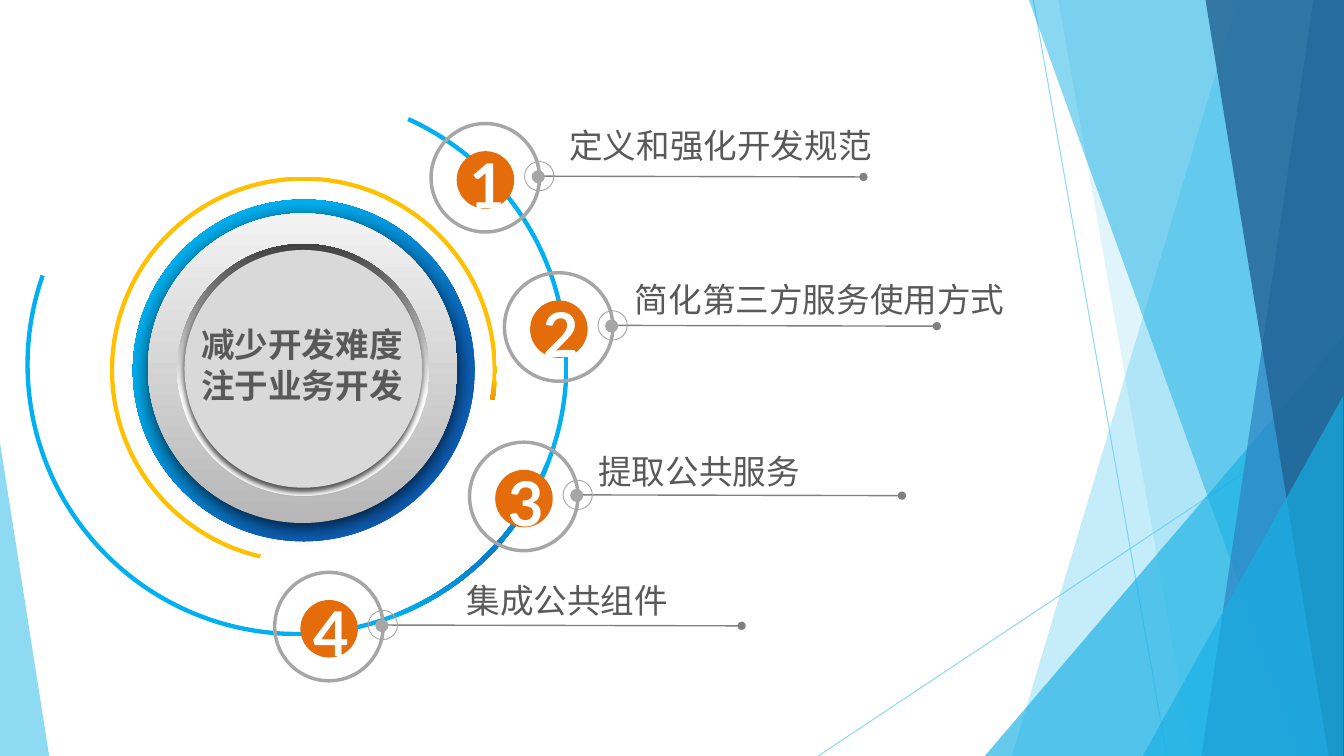
from lxml import etree
from pptx import Presentation
from pptx.dml.color import RGBColor
from pptx.enum.shapes import MSO_CONNECTOR, MSO_SHAPE
from pptx.enum.text import MSO_AUTO_SIZE, PP_ALIGN
from pptx.oxml import parse_xml
from pptx.oxml.ns import nsdecls, qn
from pptx.util import Cm, Pt

STRAIGHT = MSO_CONNECTOR.STRAIGHT
OVAL, DONUT, ARC = MSO_SHAPE.OVAL, MSO_SHAPE.DONUT, MSO_SHAPE.BLOCK_ARC
TRIANGLE = MSO_SHAPE.ISOSCELES_TRIANGLE
FIT_SHAPE = MSO_AUTO_SIZE.SHAPE_TO_FIT_TEXT
CENTER, JUSTIFY = PP_ALIGN.CENTER, PP_ALIGN.JUSTIFY
WIDTH, HEIGHT = 33.87, 19.05

COLORS = {
    "sky": "5FCBEF", "cyan": "17B0E4", "blue": "2E83C3", "navy": "226292",
    "face": "D9D9D9", "ring": "A6A6A6", "rule": "808080",
    "orange": "E46C0A", "text": "595959", "white": "FFFFFF",
}
BLUES = [(0, "0E58B2"), (30, "0C62B9"), (73, "00B0F0")]
AMBERS = [(66, "BF4501"), (96, "FFC000")]
SILVERS = [(0, "B7B7B7"), (100, "F2F2F2")]
STEELS = [(39, "FFFFFF"), (100, "404040")]
CORNER = ('<a:path path="rect"><a:fillToRect l="100000" t="100000"/></a:path>')

TITLE = {"size": Pt(24), "name": "Arial Narrow", "bold": True}
NUMBER = {"size": Pt(44), "name": "Lato", "bold": True}
LABEL = {"size": Pt(24), "name": "Arial"}


def linear(angle):
    return f'<a:lin ang="{angle * 60000}" scaled="0"/>'


class Board:
    def __init__(self, page):
        self.page = page
        self.shapes = page.shapes

    def set_alpha(self, element, alpha):
        if alpha < 100:
            color = next(element.iter(qn("a:srgbClr")))
            etree.SubElement(color, qn("a:alpha"), val=str(alpha * 1000))

    def paint(self, shape, color, alpha=100):
        shape.shadow.inherit = False
        shape.line.fill.background()
        shape.fill.solid()
        shape.fill.fore_color.rgb = RGBColor.from_string(COLORS[color])
        self.set_alpha(shape._element.spPr.find(qn("a:solidFill")), alpha)

    def shape(self, kind, left, top, width, height, color="face", alpha=100,
              adjust=(), turn=0):
        shape = self.shapes.add_shape(kind, Cm(left), Cm(top), Cm(width), Cm(height))
        for index, value in enumerate(adjust):
            shape.adjustments[index] = value
        shape.rotation = turn
        self.paint(shape, color, alpha)
        return shape

    def facet(self, top_left, bottom_left, color, alpha):
        outline = self.shapes.build_freeform(Cm(top_left), 0, scale=1.0)
        corners = [(WIDTH, 0), (WIDTH, HEIGHT), (bottom_left, HEIGHT)]
        outline.add_line_segments([(Cm(x), Cm(y)) for x, y in corners], close=True)
        self.paint(outline.convert_to_shape(), color, alpha)

    def gradient(self, shape, stops, direction):
        marks = "".join(f'<a:gs pos="{place * 1000}"><a:srgbClr val="{color}"/></a:gs>'
                        for place, color in stops)
        properties = shape._element.spPr
        properties.replace(properties.find(qn("a:solidFill")), parse_xml(
            f'<a:gradFill {nsdecls("a")} rotWithShape="1">'
            f'<a:gsLst>{marks}</a:gsLst>{direction}</a:gradFill>'))

    def cast_shadow(self, shape, alpha, blur, distance):
        shape._element.spPr.find(qn("a:effectLst")).append(parse_xml(
            f'<a:outerShdw {nsdecls("a")} blurRad="{Pt(blur)}" dist="{Pt(distance)}" '
            f'dir="5400000" algn="t" rotWithShape="0"><a:srgbClr val="000000">'
            f'<a:alpha val="{alpha * 1000}"/></a:srgbClr></a:outerShdw>'))

    def line(self, start, end, color, width, alpha=100, dot=False):
        line = self.shapes.add_connector(STRAIGHT, *map(Cm, start + end))
        line.line.color.rgb = RGBColor.from_string(COLORS[color])
        line.line.width = Pt(width)
        properties = line._element.spPr
        outline = properties.find(qn("a:ln"))
        self.set_alpha(outline, alpha)
        if dot:
            etree.SubElement(outline, qn("a:tailEnd"), type="oval")
        etree.SubElement(properties, qn("a:effectLst"))

    def text(self, words, left, top, width, height, style, color="text",
             align=JUSTIFY, spacing=None):
        box = self.shapes.add_textbox(Cm(left), Cm(top), Cm(width), Cm(height))
        frame = box.text_frame
        frame.word_wrap = True
        frame.auto_size = FIT_SHAPE
        para = frame.paragraphs[0]
        para.alignment = align
        para.line_spacing = spacing
        span = para.add_run()
        span.text = words
        for key, value in style.items():
            setattr(span.font, key, value)
        span.font.color.rgb = RGBColor.from_string(COLORS[color])

    def badge(self, number, left, top, reach):
        start = (left + 2.84, top + 1.37)
        self.line(start, (start[0] + reach, start[1] + 0.02), "rule", 1, dot=True)
        for kind, right, down, size, color in [
            (DONUT, 0, 0, 2.82, "ring"), (DONUT, 2.39, 0.99, 0.76, "ring"),
            (OVAL, 2.58, 1.22, 0.33, "ring"), (OVAL, 0.69, 0.74, 1.45, "orange"),
        ]:
            self.shape(kind, left + right, top + down, size, size, color,
                       adjust=(0.031,) if kind == DONUT else ())
        self.text(str(number), left + 0.76, top - 0.06, 1.91, 2.54, NUMBER,
                  "white", spacing=1.3)


def draw_backdrop(board):
    board.line((26.04, 0), (29.41, HEIGHT), "sky", 0.75, 70)
    board.line((WIDTH, 10.24), (20.62, HEIGHT), "sky", 0.75, 70)
    board.facet(31.19, 25.5, "sky", 36)
    board.facet(26.67, 30.05, "sky", 20)
    board.shape(TRIANGLE, 24.82, 8.46, 9.04, 10.59, "cyan", 66, (1,))
    board.facet(25.93, 32.79, "cyan", 50)
    board.facet(33.1, 30.28, "blue", 70)
    board.facet(30.38, 33.48, "navy", 80)
    board.shape(TRIANGLE, 28.8, 9.98, 5.05, 9.07, "cyan", 66, (1,))
    board.shape(TRIANGLE, 0, 11.15, 1.24, 7.9, "sky", 70, (0,))


def draw_dial(board):
    for left, top, size, turn, adjust, stops in [
        (0.64, 2.34, 13.69, 199.5, (56.92, 215.88, 0.008), BLUES),
        (2.77, 4.45, 9.75, 8.1, (56.92, 0.43, 0.011), AMBERS),
    ]:
        arc = board.shape(ARC, left, top, size, size, adjust=adjust, turn=turn)
        board.gradient(arc, stops, CORNER)
    for left, top, size, stops, angle, shadow in [
        (3.35, 5.03, 8.61, BLUES, 225, None),
        (3.73, 5.38, 7.8, SILVERS, 270, (76, 14, 3)),
        (4.47, 6.15, 6.35, STEELS, 270, None),
        (4.65, 6.3, 5.99, None, 0, (67, 4, 3)),
    ]:
        disc = board.shape(OVAL, left, top, size, size)
        if stops:
            board.gradient(disc, stops, linear(angle))
        if shadow:
            board.cast_shadow(disc, *shadow)
    board.text("减少开发难度注于业务开发", 4.6, 8.05, 6.02, 2.31, TITLE, align=CENTER)


def main():
    deck = Presentation()
    deck.slide_width, deck.slide_height = Cm(WIDTH), Cm(HEIGHT)
    board = Board(deck.slides.add_slide(deck.slide_layouts[6]))
    draw_backdrop(board)
    draw_dial(board)
    steps = [
        (10.82, 3.07, 8.1, "定义和强化开发规范", 14.1, 3.02, 9.22),
        (12.67, 6.83, 8.1, "简化第三方服务使用方式", 15.75, 6.91, 10.06),
        (11.79, 11.1, 8.1, "提取公共服务", 14.83, 11.25, 7.62),
        (6.88, 14.38, 8.97, "集成公共组件", 11.51, 14.5, 7.62),
    ]
    for number, (left, top, reach, words, *place) in enumerate(steps, 1):
        board.badge(number, left, top, reach)
        board.text(words, *place, 1.27, LABEL)
    deck.save("out.pptx")


if __name__ == "__main__":
    main()
